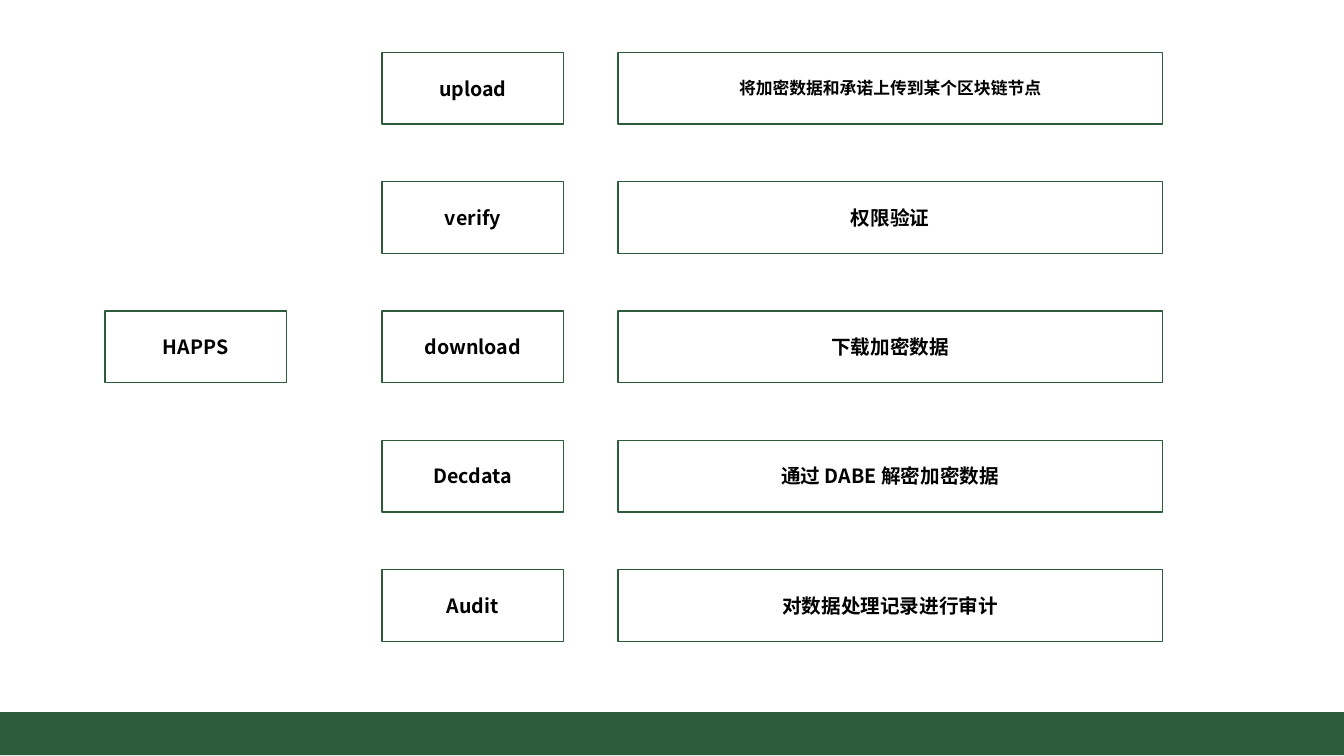
import lxml.etree
import pptx
import pptx.dml.color
import pptx.enum.shapes
import pptx.enum.text
import pptx.oxml.ns
import pptx.util

GREEN = pptx.dml.color.RGBColor(0x2D, 0x5C, 0x3C)
BLACK = pptx.dml.color.RGBColor(0x00, 0x00, 0x00)
FONT = "Noto Sans CJK SC"

SLIDE_WIDTH, SLIDE_HEIGHT = 13.33, 7.5
# Left edge and width of each column, in inches
COLUMNS = {"system": (1.04, 1.8), "function": (3.79, 1.8), "purpose": (6.13, 5.4)}
FIRST_ROW_TOP, ROW_PITCH, BOX_HEIGHT = 0.52, 1.283, 0.71

# Function name, purpose, text size of the purpose
FUNCTIONS = [
    ("upload", "将加密数据和承诺上传到某个区块链节点", 12),
    ("verify", "权限验证", 14),
    ("download", "下载加密数据", 14),
    ("Decdata", "通过 DABE 解密加密数据", 14),
    ("Audit", "对数据处理记录进行审计", 14),
]


class FunctionSlide:
    """Holds the current slide and draws boxes on its grid of columns and rows."""

    def __init__(self, presentation):
        self.slide = presentation.slides.add_slide(presentation.slide_layouts[6])

    def rectangle(self, left, top, width, height):
        shape = self.slide.shapes.add_shape(
            pptx.enum.shapes.MSO_SHAPE.RECTANGLE,
            *(pptx.util.Inches(length) for length in (left, top, width, height)))
        shape.shadow.inherit = False
        return shape

    def footer_band(self, top, height):
        """Draw a full-width band; top and height are shares of the slide height."""
        band = self.rectangle(0, top * SLIDE_HEIGHT, SLIDE_WIDTH, height * SLIDE_HEIGHT)
        band.fill.solid()
        band.fill.fore_color.rgb = GREEN
        band.line.fill.background()

    def box(self, column, row, text, size=14):
        left, width = COLUMNS[column]
        shape = self.rectangle(left, FIRST_ROW_TOP + row * ROW_PITCH, width, BOX_HEIGHT)
        shape.fill.background()
        shape.line.color.rgb = GREEN
        shape.line.width = pptx.util.Pt(1)
        frame = shape.text_frame
        frame.word_wrap = True
        frame.vertical_anchor = pptx.enum.text.MSO_ANCHOR.MIDDLE
        paragraph = frame.paragraphs[0]
        paragraph.alignment = pptx.enum.text.PP_ALIGN.CENTER
        self.run(paragraph, text, size)

    def run(self, paragraph, text, size):
        run = paragraph.add_run()
        run.text = text
        font = run.font
        font.name = FONT
        font.size = pptx.util.Pt(size)
        font.bold = True
        font.color.rgb = BLACK
        # Chinese characters take their typeface from a:ea
        east_asian = lxml.etree.SubElement(
            run._r.get_or_add_rPr(), pptx.oxml.ns.qn("a:ea"))
        east_asian.set("typeface", FONT)


def main():
    presentation = pptx.Presentation()
    presentation.slide_width = pptx.util.Inches(SLIDE_WIDTH)
    presentation.slide_height = pptx.util.Inches(SLIDE_HEIGHT)

    slide = FunctionSlide(presentation)
    slide.footer_band(top=0.942, height=0.057)
    slide.box("system", len(FUNCTIONS) // 2, "HAPPS")
    for row, (name, purpose, size) in enumerate(FUNCTIONS):
        slide.box("function", row, name)
        slide.box("purpose", row, purpose, size)

    presentation.save("out.pptx")


if __name__ == "__main__":
    main()
